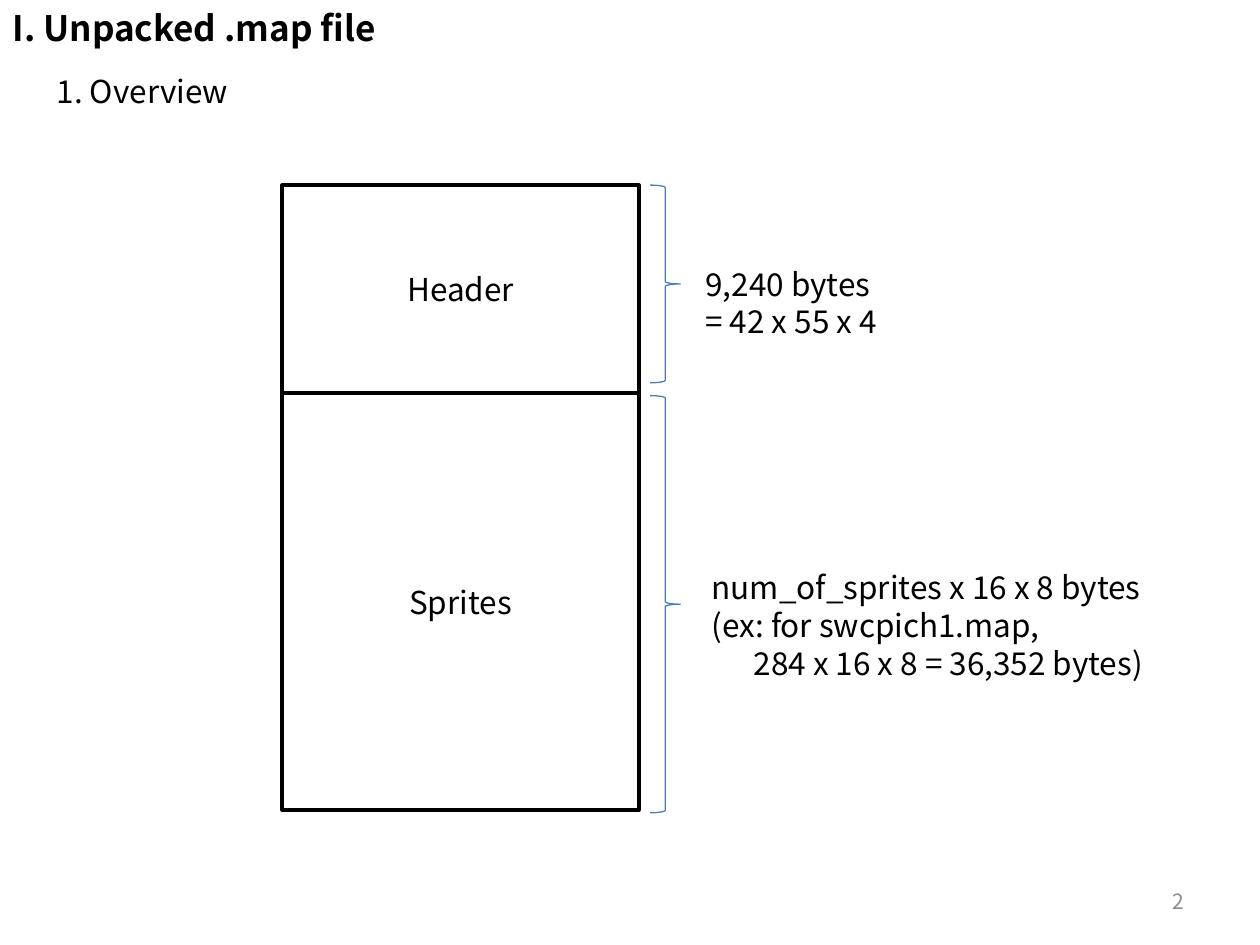
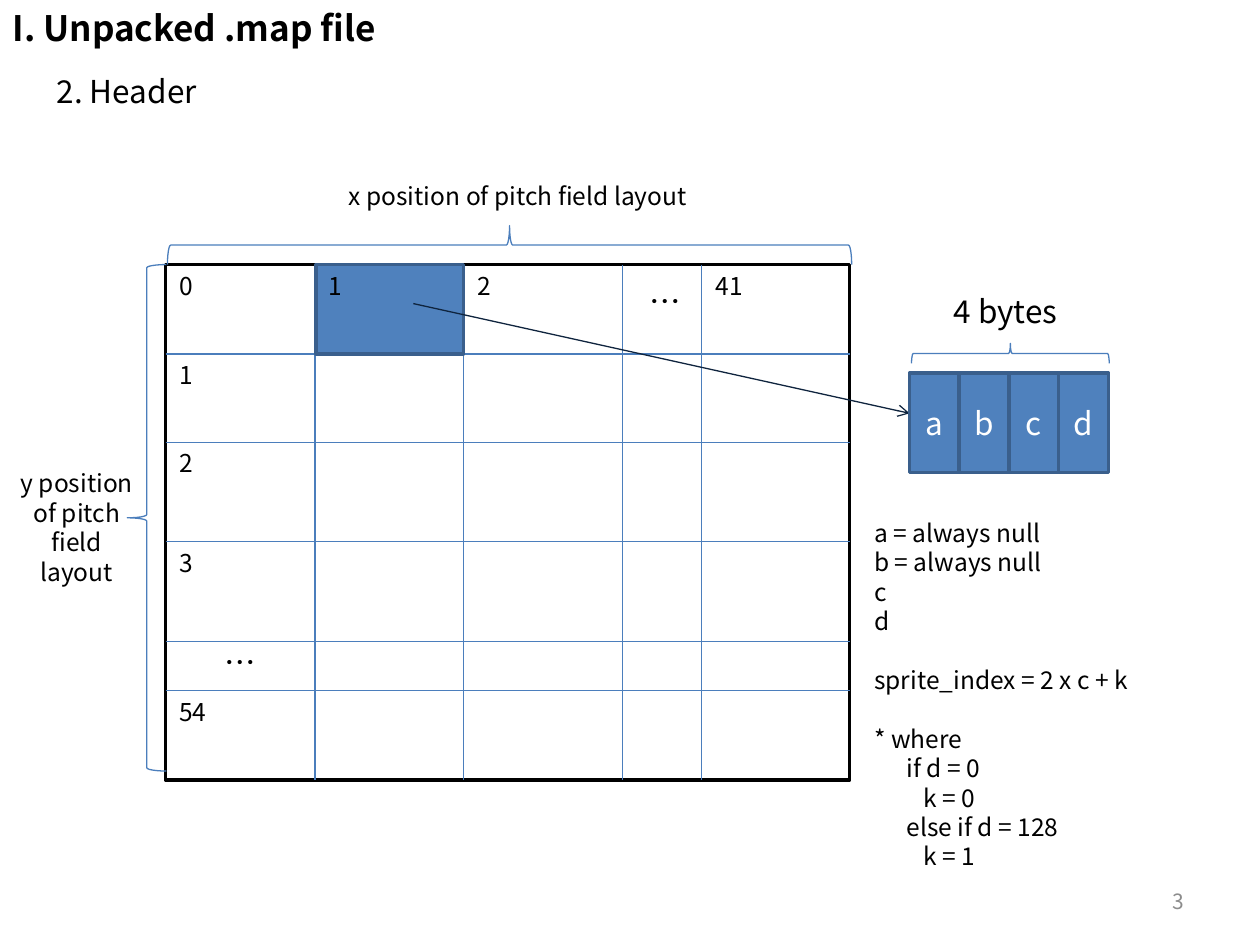
from dataclasses import dataclass
from typing import Optional

from lxml.etree import SubElement
from pptx import Presentation
from pptx.dml.color import RGBColor
from pptx.enum.shapes import MSO_CONNECTOR as Conn, MSO_SHAPE as Shp
from pptx.enum.text import MSO_ANCHOR as Anchor, MSO_AUTO_SIZE as Auto, PP_ALIGN as Align
from pptx.oxml.ns import qn
from pptx.util import Pt

FONT = "Noto Sans CJK KR"
COLORS = {
    "ink": "000000",
    "paper": "FFFFFF",
    "rule": "4B7EBC",
    "byte": "4F81BD",
    "byte_edge": "3A5F8C",
    "arrow": "0F243E",
    "number": "8C8C8C",
}


@dataclass(frozen=True)
class Area:
    x: float
    y: float
    w: float
    h: float

    def emu(self) -> tuple:
        return Pt(self.x), Pt(self.y), Pt(self.w), Pt(self.h)


@dataclass(frozen=True)
class Line:
    text: str
    indent: float = 0
    before: float = 0


@dataclass(frozen=True)
class Style:
    size: float = 18
    color: str = "ink"
    align: Align = Align.LEFT
    anchor: Anchor = Anchor.TOP
    bold: bool = False


@dataclass(frozen=True)
class Label:
    area: Area
    lines: tuple
    style: Style = Style()


@dataclass(frozen=True)
class Box:
    area: Area
    fill: str = "paper"
    edge: str = "ink"
    text: Optional[str] = None
    ink: str = "ink"


TITLE = Style(20, bold=True)
BODY = Style()
SMALL = Style(14)
SMALL_MID = Style(14, align=Align.CENTER)
BIG_MID = Style(align=Align.CENTER)
NUMBER = Style(12, "number", Align.RIGHT, Anchor.MIDDLE)


def rgb(name: str) -> RGBColor:
    return RGBColor.from_string(COLORS[name])


def apply(target, **values) -> None:
    for name, value in values.items():
        setattr(target, name, value)


def write(sp, lines: tuple, style: Style) -> None:
    tf = sp.text_frame
    apply(tf, word_wrap=True, auto_size=Auto.NONE, vertical_anchor=style.anchor)
    for i, line in enumerate(lines):
        p = tf.add_paragraph() if i else tf.paragraphs[0]
        apply(p, alignment=style.align, space_before=Pt(line.before))
        pPr = p._p.get_or_add_pPr()
        pPr.set("marL", str(Pt(line.indent)))
        pPr.set("indent", "0")
        SubElement(pPr, qn("a:buNone"))
        r = p.add_run()
        r.text = line.text
        apply(r.font, name=FONT, size=Pt(style.size), bold=style.bold)
        r.font.color.rgb = rgb(style.color)


def add_label(sl, label: Label) -> None:
    write(sl.shapes.add_textbox(*label.area.emu()), label.lines, label.style)


def add_box(sl, box: Box) -> None:
    sp = sl.shapes.add_shape(Shp.RECTANGLE, *box.area.emu())
    sp.shadow.inherit = False
    sp.fill.solid()
    sp.fill.fore_color.rgb = rgb(box.fill)
    sp.line.color.rgb = rgb(box.edge)
    sp.line.width = Pt(2)
    if box.text:
        write(sp, (Line(box.text),), Style(18, box.ink, Align.CENTER, Anchor.MIDDLE))


def add_brace(sl, kind: Shp, area: Area, rotation: float = 0) -> None:
    sp = sl.shapes.add_shape(kind, *area.emu())
    sp.shadow.inherit = False
    sp.rotation = rotation
    sp.fill.background()
    sp.line.color.rgb = rgb("rule")
    sp.line.width = Pt(0.75)


def add_top_brace(sl, seen: Area) -> None:
    shift = (seen.w - seen.h) / 2
    upright = Area(seen.x + shift, seen.y - shift, seen.h, seen.w)
    add_brace(sl, Shp.RIGHT_BRACE, upright, 270)


def add_line(sl, x1: float, y1: float, x2: float, y2: float,
             color: str = "rule", arrow: bool = False) -> None:
    c = sl.shapes.add_connector(Conn.STRAIGHT, Pt(x1), Pt(y1), Pt(x2), Pt(y2))
    c.line.color.rgb = rgb(color)
    c.line.width = Pt(0.75)
    if arrow:
        SubElement(c.line._get_or_add_ln(), qn("a:tailEnd"), type="arrow")
    SubElement(c._element.spPr, qn("a:effectLst"))


def add_page(prs, section: str, number: int):
    sl = prs.slides.add_slide(prs.slide_layouts[1])
    frames = (
        (sl.shapes.title, Area(0, 0, 521.3, 31.5), "I. Unpacked .map file", TITLE),
        (sl.placeholders[1], Area(25.2, 37.5, 521.3, 29), section, BODY),
    )
    for sp, area, text, style in frames:
        apply(sp, **dict(zip(("left", "top", "width", "height"), area.emu())))
        write(sp, (Line(text),), style)
    add_label(sl, Label(Area(516, 500.5, 168, 28.75), (Line(str(number)),), NUMBER))
    return sl


def build_overview(prs) -> None:
    sl = add_page(prs, "1. Overview", 2)
    x, w, top, split, bottom = 161.3, 203.8, 105.8, 224.6, 463
    for text, y, end in (("Sprites", split, bottom), ("Header", top, split)):
        add_box(sl, Box(Area(x, y, w, end - y), text=text))
    for y, h in ((top, 113), (split + 1.5, bottom - split)):
        add_brace(sl, Shp.RIGHT_BRACE, Area(371.5, y, 17.3, h))
    add_label(sl, Label(Area(396, 147.6, 141.8, 51),
                        (Line("9,240 bytes"), Line("= 42 x 55 x 4"))))
    add_label(sl, Label(Area(399.6, 321.1, 320.4, 72.7), (
        Line("num_of_sprites x 16 x 8 bytes"),
        Line("(ex: for swcpich1.map,"),
        Line("284 x 16 x 8 = 36,352 bytes)", indent=24))))


def build_header(prs) -> None:
    sl = add_page(prs, "2. Header", 3)
    left, top, right, bottom = 94.6, 151.2, 485.6, 445.7
    columns = {"0": left, "1": 180, "2": 265, "…": 355.7, "41": 401}
    rows = {"0": top, "1": 202.3, "2": 252.7, "3": 309.6, "…": 366.5, "54": 394.6}
    col_x, row_y = list(columns.values()), list(rows.values())

    add_box(sl, Box(Area(left, top, right - left, bottom - top)))
    for y in row_y[1:]:
        add_line(sl, left, y, right, y)
    for x in col_x[1:]:
        add_line(sl, x, top, x, bottom)

    add_box(sl, Box(Area(col_x[1] + 0.7, top, 84.2, row_y[1] - top), "byte", "byte_edge"))
    cells = [(text, x, top, 8.6, 6.5) for text, x in columns.items()]
    cells += [(text, left, y, 26.4, -2.9) for text, y in list(rows.items())[1:]]
    for text, x, y, dx, dy in cells:
        if text == "…":
            label = Label(Area(x + dx, y + dy, 51, 29), (Line(text),))
        else:
            label = Label(Area(x + 0.8, y, 51, 24.5), (Line(text),), SMALL)
        add_label(sl, label)

    byte_x, byte_w = 519.8, 28.4
    add_line(sl, 236.2, 173.5, byte_x, 236.2, "arrow", arrow=True)
    for i, name in enumerate("abcd"):
        add_box(sl, Box(Area(byte_x + i * byte_w, 213.1, byte_w, 57),
                        "byte", "byte_edge", name, "paper"))

    add_top_brace(sl, Area(520.9, 196.2, 113, 11.5))
    add_top_brace(sl, Area(95.7, 128.9, 391, 22.3))
    add_brace(sl, Shp.LEFT_BRACE, Area(72.7, top, 22.3, 289.4))

    gap = 16.85
    labels = (
        Label(Area(520.6, 163.4, 108, 28.8), (Line("4 bytes"),), BIG_MID),
        Label(Area(171.4, 100.1, 249.1, 24.5),
              (Line("x position of pitch field layout"),), SMALL_MID),
        Label(Area(0, 264.2, 87.8, 74.9),
              (Line("y position"), Line("of pitch field"), Line("layout")), SMALL_MID),
        Label(Area(492.5, 292.3, 227.5, 211), (
            Line("a = always null"),
            Line("b = always null"),
            Line("c"),
            Line("d"),
            Line("sprite_index = 2 x c + k", before=gap),
            Line("* where", before=gap),
            Line("if d = 0", indent=18.5),
            Line("k = 0", indent=28),
            Line("else if d = 128", indent=18.5),
            Line("k = 1", indent=28)), SMALL),
    )
    for label in labels:
        add_label(sl, label)


def main() -> None:
    prs = Presentation()
    prs.slide_width, prs.slide_height = Pt(720), Pt(540)
    build_overview(prs)
    build_header(prs)
    prs.save("out.pptx")


if __name__ == "__main__":
    main()
